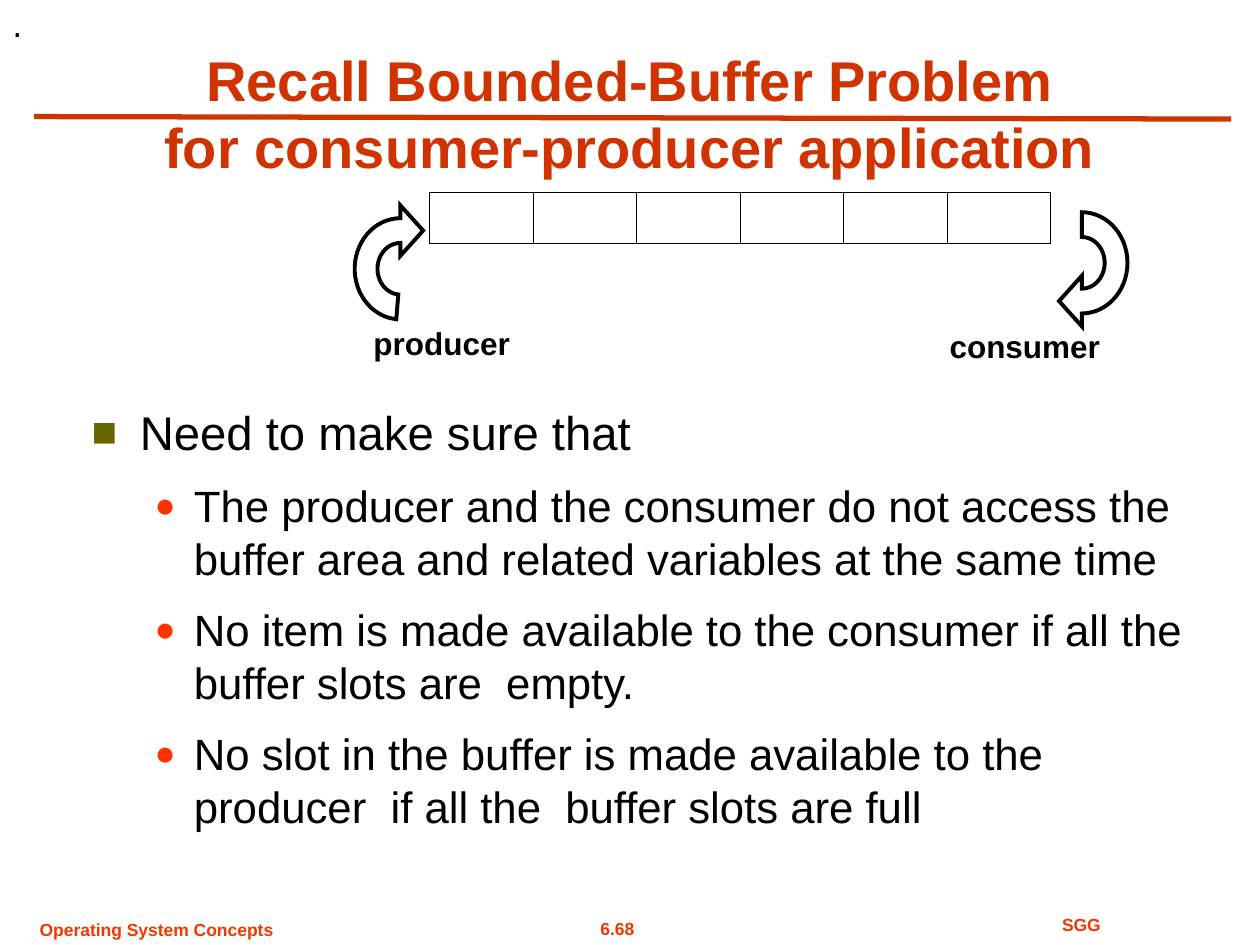
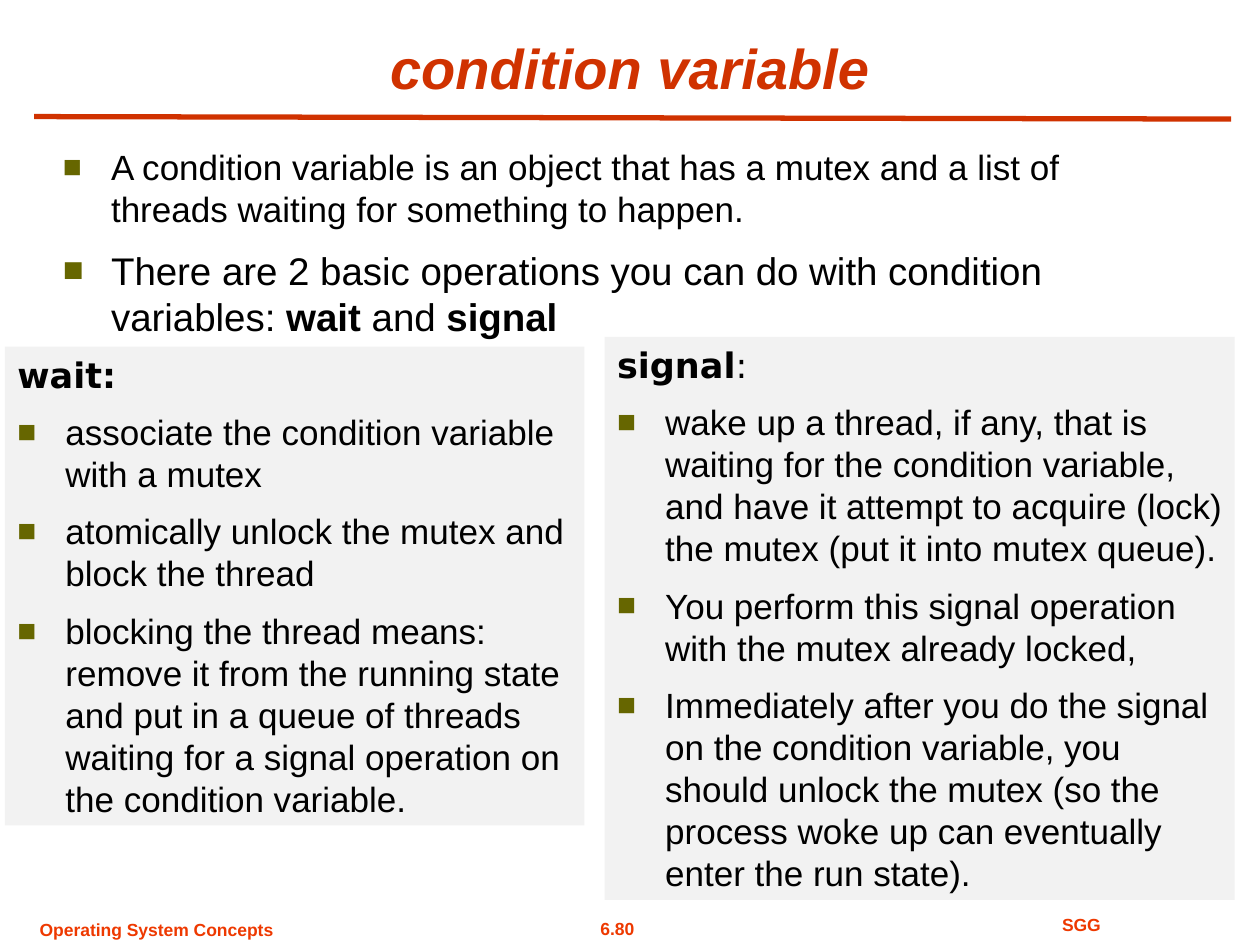
from dataclasses import dataclass
from math import cos, radians, sin
from typing import Optional

from lxml.etree import SubElement
from pptx import Presentation
from pptx.dml.color import RGBColor
from pptx.enum.shapes import MSO_CONNECTOR as Connector, MSO_SHAPE as Preset
from pptx.enum.text import MSO_ANCHOR as Anchor, MSO_AUTO_SIZE as AutoSize, PP_ALIGN as Align
from pptx.oxml.ns import qn
from pptx.util import Cm, Pt

COLORS = {
    "title": "D03200",
    "footer": "EE3900",
    "text": "000000",
    "square": "666600",
    "dot": "FF3300",
    "panel": "F2F2F2",
    "white": "FFFFFF",
}
BODY_FONT = "Arial"
HEADING_FONT = "DejaVu Sans"


@dataclass(frozen=True)
class Box:
    left: float
    top: float
    width: float
    height: float

    def lengths(self) -> tuple:
        return Cm(self.left), Cm(self.top), Cm(self.width), Cm(self.height)


@dataclass(frozen=True)
class Bullet:
    symbol: str
    color: str
    percent: int
    margin: float
    hanging: float


@dataclass(frozen=True)
class TextRun:
    text: str
    bold: bool = False
    italic: bool = False


@dataclass(frozen=True)
class TextParagraph:
    runs: tuple
    size: float
    color: str = "text"
    font: str = BODY_FONT
    align: Align = Align.LEFT
    space_before: float = 0
    bullet: Optional[Bullet] = None


@dataclass(frozen=True)
class CurvedArrow:
    center_x: float
    center_y: float
    direction: int  # 1 bulges right and points left, -1 the reverse
    sweep: int


SQUARE = Bullet("■", "square", 90, 0.97, 0.97)
DOT = Bullet("●", "dot", 80, 2.06, 0.79)


def rgb(name: str) -> RGBColor:
    return RGBColor.from_string(COLORS[name])


def square_item(*runs: TextRun, size: float = 20, space_before: float = 8.8) -> TextParagraph:
    return TextParagraph(runs, size, space_before=space_before, bullet=SQUARE)


def dot_item(text: str) -> TextParagraph:
    return TextParagraph((TextRun(text),), 25, space_before=10.9, bullet=DOT)


def label(text: str, size: float, color: str = "text", align: Align = Align.CENTER) -> TextParagraph:
    return TextParagraph((TextRun(text, bold=True),), size, color, align=align)


# Text
def add_bullet(paragraph, bullet: Bullet) -> None:
    properties = paragraph._p.get_or_add_pPr()
    properties.set("marL", str(Cm(bullet.margin)))
    properties.set("indent", str(-Cm(bullet.hanging)))
    color = SubElement(properties, qn("a:buClr"))
    SubElement(color, qn("a:srgbClr"), val=COLORS[bullet.color])
    SubElement(properties, qn("a:buSzPct"), val=str(bullet.percent * 1000))
    SubElement(properties, qn("a:buFont"), typeface=BODY_FONT)
    SubElement(properties, qn("a:buChar"), char=bullet.symbol)


def write_text(frame, paragraphs: list, wrap: bool = True, anchor: Anchor = Anchor.TOP) -> None:
    frame.word_wrap = wrap
    frame.auto_size = AutoSize.NONE
    frame.vertical_anchor = anchor
    frame.margin_left = frame.margin_right = Cm(0.25)
    frame.margin_top = frame.margin_bottom = Cm(0.13)
    for index, content in enumerate(paragraphs):
        paragraph = frame.add_paragraph() if index else frame.paragraphs[0]
        paragraph.alignment = content.align
        paragraph.space_before = Pt(content.space_before if index else 0)
        if content.bullet:
            add_bullet(paragraph, content.bullet)
        for item in content.runs:
            for line_index, line in enumerate(item.text.split("\n")):
                if line_index:
                    paragraph.add_line_break()
                run = paragraph.add_run()
                run.text = line
                run.font.name = content.font
                run.font.size = Pt(content.size)
                run.font.bold = item.bold
                run.font.italic = item.italic
                run.font.color.rgb = rgb(content.color)


def add_text(slide, box: Box, paragraphs: list, wrap: bool = True) -> None:
    shape = slide.shapes.add_textbox(*box.lengths())
    write_text(shape.text_frame, paragraphs, wrap)


def add_panel(slide, box: Box, heading: tuple, items: list) -> None:
    shape = slide.shapes.add_shape(Preset.RECTANGLE, *box.lengths())
    shape.shadow.inherit = False
    shape.fill.solid()
    shape.fill.fore_color.rgb = rgb("panel")
    shape.line.fill.background()
    paragraphs = [TextParagraph(heading, 20, font=HEADING_FONT)]
    paragraphs += [square_item(TextRun(item)) for item in items]
    write_text(shape.text_frame, paragraphs)
    # A narrow right margin keeps the longest lines whole
    shape.text_frame.margin_right = Cm(0.15)


# Shared frame: title, rule and footers
def add_base_slide(presentation, title: TextRun, title_box: Box, number: str):
    slide = presentation.slides.add_slide(presentation.slide_layouts[5])
    placeholder = slide.shapes.title
    placeholder.left, placeholder.top, placeholder.width, placeholder.height = title_box.lengths()
    title_text = TextParagraph((title,), 32, "title", align=Align.CENTER)
    write_text(placeholder.text_frame, [title_text], anchor=Anchor.BOTTOM)

    rule = slide.shapes.add_connector(Connector.STRAIGHT, Cm(0.69), Cm(2.35), Cm(24.82), Cm(2.4))
    rule.line.color.rgb = rgb("title")
    rule.line.width = Pt(3)
    SubElement(rule._element.spPr, qn("a:effectLst"))

    footers = (
        (Box(11.2, 18.37, 2.49, 0.69), number, Align.CENTER, False),
        (Box(18.03, 18.29, 7.54, 0.69), "SGG", Align.CENTER, True),
        (Box(0.55, 18.39, 5.21, 0.69), "Operating System Concepts", Align.LEFT, False),
    )
    for box, text, align, wrap in footers:
        add_text(slide, box, [label(text, 10, "footer", align)], wrap)
    return slide


# Buffer drawing
def add_curved_arrow(slide, arrow: CurvedArrow) -> None:
    inner, outer = (0.46, 0.52), (0.92, 1.02)

    def arc(radii: tuple, start: int, end: int, steps: int = 30) -> list:
        angles = [radians(start + (end - start) * step / steps) for step in range(steps + 1)]
        return [(radii[0] * cos(angle), radii[1] * sin(angle)) for angle in angles]

    tail = 90 - arrow.sweep
    head = [(0, 1.28), (-0.46, 0.77), (0, 0.26)]
    outline = arc(inner, 90, tail) + arc(outer, tail, 90) + head
    points = [
        (Cm(arrow.center_x + arrow.direction * x), Cm(arrow.center_y + arrow.direction * y))
        for x, y in outline
    ]
    builder = slide.shapes.build_freeform(*points[0], scale=1.0)
    builder.add_line_segments(points[1:], close=True)
    shape = builder.convert_to_shape()
    shape.shadow.inherit = False
    shape.fill.solid()
    shape.fill.fore_color.rgb = rgb("white")
    shape.line.color.rgb = rgb("text")
    shape.line.width = Pt(2.25)
    SubElement(shape._element.spPr.find(qn("a:ln")), qn("a:miter"), lim="800000")


def add_buffer(slide, box: Box, slots: int) -> None:
    table = slide.shapes.add_table(1, slots, *box.lengths()).table
    table.first_row = table.horz_banding = False
    for column in table.columns:
        column.width = Cm(box.width / slots)
    for cell in table.iter_cells():
        properties = cell._tc.get_or_add_tcPr()
        for side in ("lnL", "lnR", "lnT", "lnB"):
            border = SubElement(properties, qn(f"a:{side}"), w=str(Pt(0.45)))
            fill = SubElement(border, qn("a:solidFill"))
            SubElement(fill, qn("a:srgbClr"), val=COLORS["text"])
        cell.fill.background()


def add_bounded_buffer_slide(presentation) -> None:
    title = TextRun("Recall Bounded-Buffer Problem\nfor consumer-producer application", bold=True)
    slide = add_base_slide(presentation, title, Box(1.27, 1.04, 22.86, 2.72), "6.68")
    add_text(slide, Box(1.6, 8, 22.71, 9.8), [
        square_item(TextRun("Need to make sure that"), size=27),
        dot_item("The producer and the consumer do not access the buffer area "
                 "and related variables at the same time"),
        dot_item("No item is made available to the consumer if all the buffer slots are  empty."),
        dot_item("No slot in the buffer is made available to the producer  "
                 "if all the  buffer slots are full"),
    ])
    add_curved_arrow(slide, CurvedArrow(21.81, 5.3, 1, 180))
    add_curved_arrow(slide, CurvedArrow(8.07, 5.42, -1, 175))
    add_text(slide, Box(6.91, 6.4, 3.99, 1.02), [label("producer", 18)])
    add_text(slide, Box(18.41, 6.46, 4.5, 1.02), [label("consumer", 18)])
    add_text(slide, Box(0, 0, 1.3, 1.02), [TextParagraph((TextRun("."),), 18, font=HEADING_FONT)])
    add_buffer(slide, Box(8.66, 3.87, 12.52, 1.04), slots=6)


def add_condition_variable_slide(presentation) -> None:
    title = TextRun("condition variable", bold=True, italic=True)
    slide = add_base_slide(presentation, title, Box(1.27, 0.56, 22.86, 1.6), "6.80")
    add_text(slide, Box(1.02, 2.81, 22.2, 5.46), [
        square_item(TextRun("A condition variable is an object that has a mutex and a list of "
                            "threads waiting for something to happen.")),
        square_item(
            TextRun("There are 2 basic operations you can do with condition variables: "),
            TextRun("wait", bold=True),
            TextRun(" and "),
            TextRun("signal", bold=True),
            size=22,
            space_before=9.6,
        ),
    ])
    add_panel(slide, Box(0.1, 6.99, 11.68, 9.65), (TextRun("wait:", bold=True),), [
        "associate the condition variable with a mutex",
        "atomically unlock the mutex and block the thread",
        "blocking the thread means: remove it from the running state and put in a queue "
        "of threads waiting for a signal operation on the condition variable.",
    ])
    signal_heading = (TextRun("signal", bold=True), TextRun(":"))
    add_panel(slide, Box(12.19, 6.79, 12.7, 11.35), signal_heading, [
        "wake up a thread, if any, that is waiting for the condition variable, and have it "
        "attempt to acquire (lock) the mutex (put it into mutex queue).",
        "You perform this signal operation with the mutex already locked,",
        "Immediately after you do the signal on the condition variable, you should unlock "
        "the mutex (so the process woke up can eventually enter the run state).",
    ])


def main() -> None:
    presentation = Presentation()
    presentation.slide_width = Cm(25.4)
    presentation.slide_height = Cm(19.05)
    add_bounded_buffer_slide(presentation)
    add_condition_variable_slide(presentation)
    presentation.save("out.pptx")


if __name__ == "__main__":
    main()
